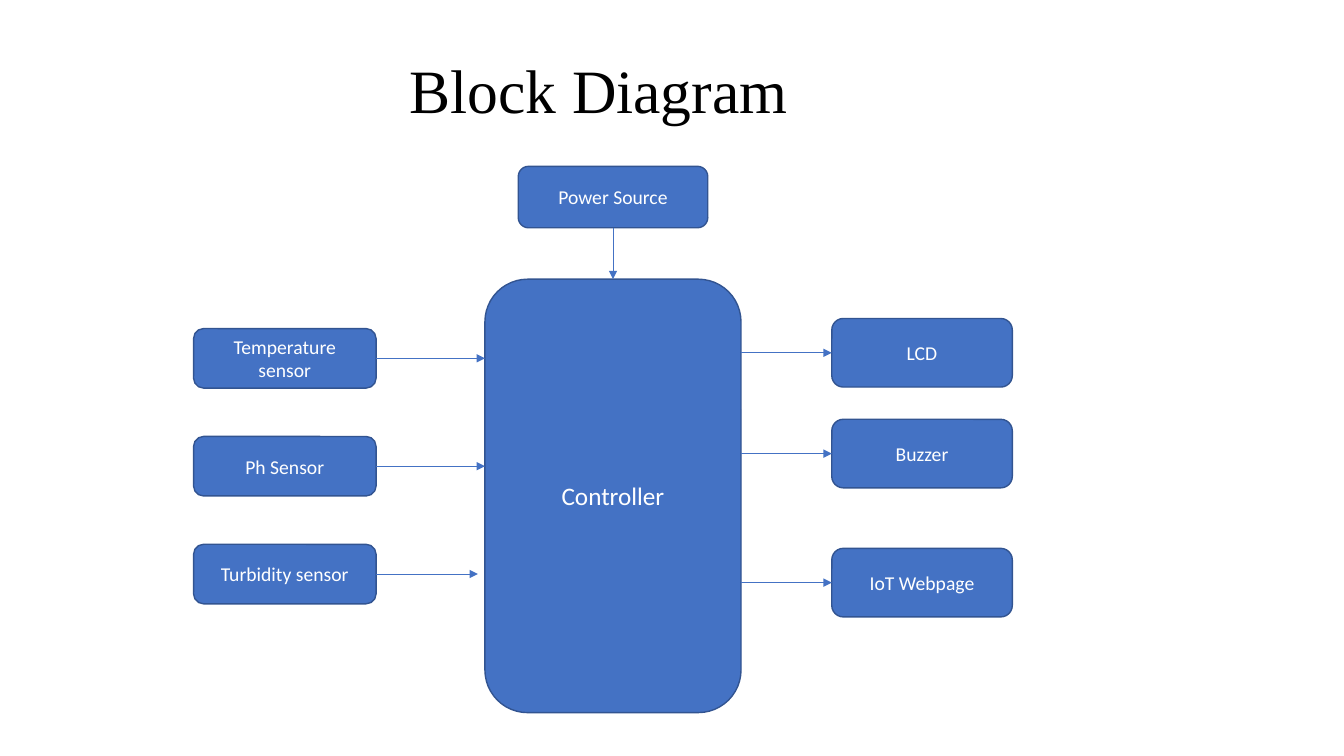
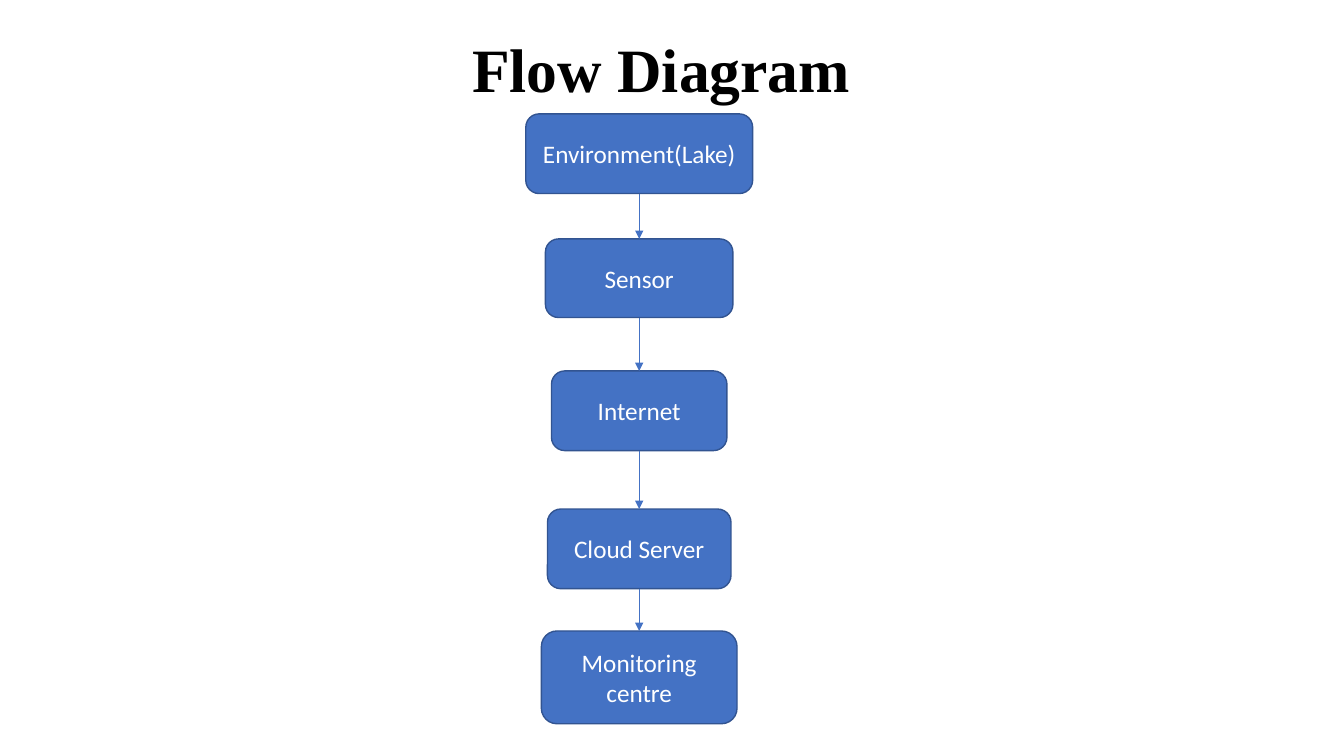
from lxml.etree import SubElement
from pptx import Presentation
from pptx.dml.color import RGBColor
from pptx.enum.shapes import MSO_CONNECTOR, MSO_SHAPE
from pptx.enum.text import MSO_ANCHOR, PP_ALIGN
from pptx.oxml.ns import qn
from pptx.util import Inches, Pt

BLUE = RGBColor(0x44, 0x72, 0xC4)
DARK_BLUE = RGBColor(0x32, 0x54, 0x91)
WHITE = RGBColor(0xFF, 0xFF, 0xFF)
BLACK = RGBColor(0x00, 0x00, 0x00)
TITLE_FONT, BODY_FONT = "Times New Roman", "Calibri"
TITLE_SIZE, LARGE, SMALL = 44, 18, 14
TITLE_ONLY = 5

# Connection sites of a rounded rectangle
TOP, BOTTOM, RIGHT = 0, 2, 3
LEFT = 1

# Block diagram: (left, top, width, height) in inches
CONTROLLER = ("Controller", (4.81, 2.77, 2.54, 4.3))
POWER = ("Power Source", (5.14, 1.65, 1.88, 0.61))
SENSOR_LEFT, SENSOR_SIZE = 1.92, (1.81, 0.59)
SENSOR_TOP, SENSOR_PITCH = 3.26, 1.07
SENSORS = [("Temperature sensor", 4.81), ("Ph Sensor", 4.81), ("Turbidity sensor", 4.74)]  # arrow tip
OUTPUT_LEFT, OUTPUT_SIZE = 8.25, (1.79, 0.68)
OUTPUTS = [("LCD", 3.16), ("Buzzer", 4.16), ("IoT Webpage", 5.44)]  # top

# Flow diagram: label, top, width, height, centred on one axis
FLOW_CENTRE = 6.34
FLOW_STEPS = [
    ("Environment(Lake)", 1.13, 2.25, 0.79),
    ("Sensor", 2.37, 1.86, 0.78),
    ("Internet", 3.68, 1.74, 0.79),
    ("Cloud Server", 5.05, 1.82, 0.79),
    ("Monitoring centre", 6.26, 1.94, 0.92),
]


def format_text(text_frame, font_name, size, color, bold=False):
    text_frame.word_wrap = True
    text_frame.vertical_anchor = MSO_ANCHOR.MIDDLE
    paragraph = text_frame.paragraphs[0]
    paragraph.alignment = PP_ALIGN.CENTER
    font = paragraph.runs[0].font
    font.name, font.size, font.bold = font_name, Pt(size), bold
    font.color.rgb = color


def add_titled_slide(presentation, text, left, top, bold=False):
    slide = presentation.slides.add_slide(presentation.slide_layouts[TITLE_ONLY])
    title = slide.shapes.title
    title.left, title.top = Inches(left), Inches(top)
    title.width, title.height = Inches(11.5), Inches(1.45)
    title.text_frame.text = text
    format_text(title.text_frame, TITLE_FONT, TITLE_SIZE, BLACK, bold)
    title.text_frame.paragraphs[0].line_spacing = 0.9
    return slide


def add_box(slide, text, bounds, size):
    box = slide.shapes.add_shape(MSO_SHAPE.ROUNDED_RECTANGLE, *map(Inches, bounds))
    box.shadow.inherit = False
    box.fill.solid()
    box.fill.fore_color.rgb = BLUE
    box.line.color.rgb = DARK_BLUE
    box.line.width = Pt(1)
    box.text_frame.text = text
    format_text(box.text_frame, BODY_FONT, size, WHITE)
    return box


def add_arrow(slide, begin, end):
    """Draw an arrow between two points given in EMU."""
    arrow = slide.shapes.add_connector(MSO_CONNECTOR.STRAIGHT, *begin, *end)
    arrow.line.color.rgb = BLUE
    arrow.line.width = Pt(0.5)
    properties = arrow.element.spPr
    SubElement(properties.find(qn("a:ln")), qn("a:tailEnd"), type="triangle")
    SubElement(properties, qn("a:effectLst"))
    return arrow


def add_down_arrow(slide, upper, lower):
    arrow = add_arrow(slide, (0, 0), (0, 0))
    arrow.begin_connect(upper, BOTTOM)
    arrow.end_connect(lower, TOP)


def build_block_diagram(presentation):
    slide = add_titled_slide(presentation, "Block Diagram", 0.19, 0.2)
    controller = add_box(slide, *CONTROLLER, LARGE)
    power = add_box(slide, *POWER, SMALL)
    add_down_arrow(slide, power, controller)

    for index, (label, tip) in enumerate(SENSORS):
        top = SENSOR_TOP + index * SENSOR_PITCH
        sensor = add_box(slide, label, (SENSOR_LEFT, top, *SENSOR_SIZE), SMALL)
        middle = sensor.top + sensor.height // 2
        arrow = add_arrow(slide, (sensor.left + sensor.width, middle), (Inches(tip), middle))
        arrow.begin_connect(sensor, RIGHT)

    for label, top in OUTPUTS:
        output = add_box(slide, label, (OUTPUT_LEFT, top, *OUTPUT_SIZE), SMALL)
        middle = output.top + output.height // 2
        arrow = add_arrow(slide, (controller.left + controller.width, middle), (output.left, middle))
        arrow.end_connect(output, LEFT)


def build_flow_diagram(presentation):
    slide = add_titled_slide(presentation, "Flow Diagram", 0.81, -0.01, bold=True)
    boxes = [
        add_box(slide, label, (FLOW_CENTRE - width / 2, top, width, height), LARGE)
        for label, top, width, height in FLOW_STEPS
    ]
    for upper, lower in zip(boxes, boxes[1:]):
        add_down_arrow(slide, upper, lower)


def main():
    presentation = Presentation()
    presentation.slide_width, presentation.slide_height = Inches(13.33), Inches(7.5)
    build_block_diagram(presentation)
    build_flow_diagram(presentation)
    presentation.save("out.pptx")


if __name__ == "__main__":
    main()
